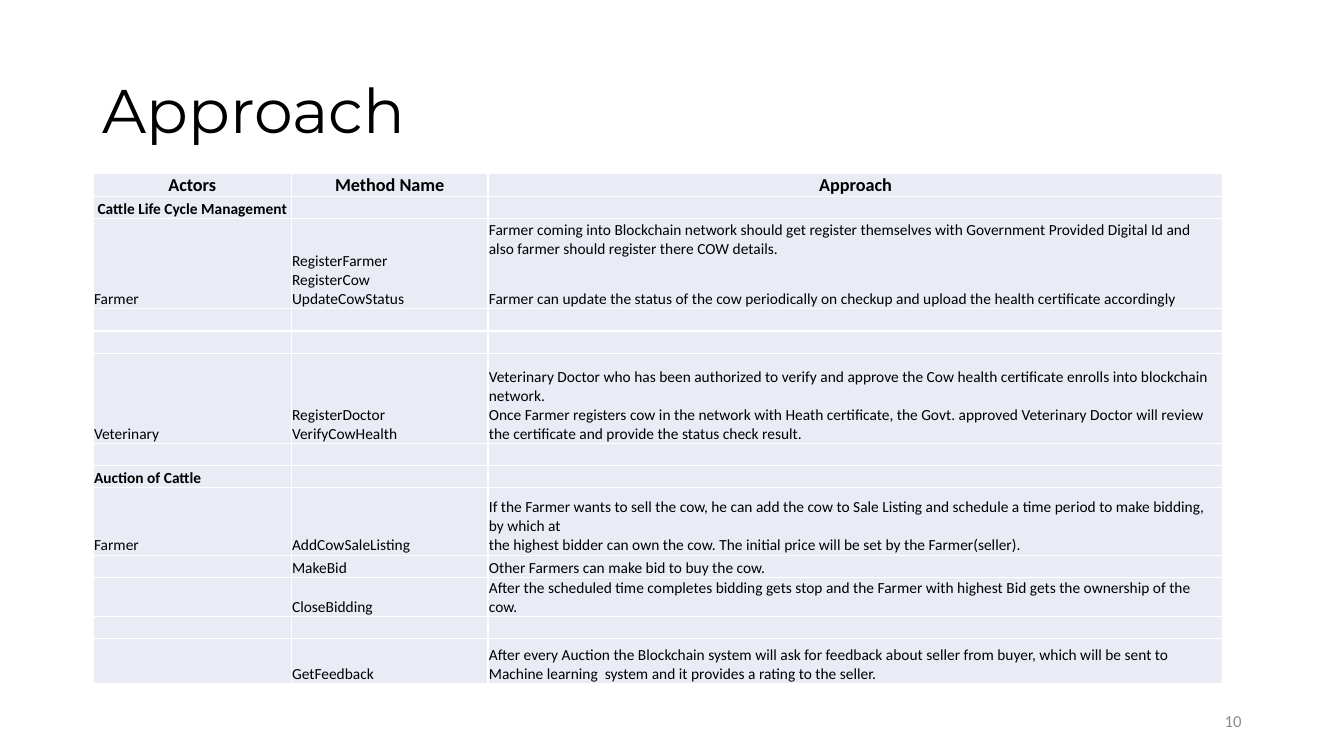
from lxml.etree import SubElement
from pptx import Presentation
from pptx.dml.color import RGBColor
from pptx.enum.text import MSO_ANCHOR, PP_ALIGN
from pptx.oxml import parse_xml
from pptx.oxml.ns import nsdecls, qn
from pptx.util import Cm, Pt

COLUMN_WIDTHS = [4.99, 4.96, 18.52]
BLANK = (0.56, ["", "", ""])
ROWS = [
    (0.58, ["Actors", "Method Name", "Approach"]),
    (0.56, [" Cattle Life Cycle Management", "", ""]),
    (2.27, ["Farmer", "RegisterFarmer\nRegisterCow\nUpdateCowStatus",
            "Farmer coming into Blockchain network should get register themselves with "
            "Government Provided Digital Id and\nalso farmer should register there COW details.\n\n"
            "Farmer can update the status of the cow periodically on checkup and upload "
            "the health certificate accordingly"]),
    BLANK,
    BLANK,
    (2.27, ["Veterinary", "RegisterDoctor\nVerifyCowHealth",
            "Veterinary Doctor who has been authorized to verify and approve the Cow health "
            "certificate enrolls into blockchain network.\nOnce Farmer registers cow in the network "
            "with Heath certificate, the Govt. approved Veterinary Doctor will review the "
            "certificate and provide the status check result."]),
    BLANK,
    (0.56, ["Auction of Cattle", "", ""]),
    (1.7, ["Farmer", "AddCowSaleListing",
           "If the Farmer wants to sell the cow, he can add the cow to Sale Listing and schedule "
           "a time period to make bidding, by which at \nthe highest bidder can own the cow. "
           "The initial price will be set by the Farmer(seller)."]),
    (0.56, ["", "MakeBid", "Other Farmers can make bid to buy the cow."]),
    (0.98, ["", "CloseBidding",
            "After the scheduled time completes bidding gets stop and the Farmer with highest "
            "Bid gets the ownership of the cow."]),
    BLANK,
    (1.14, ["", "GetFeedback",
            "After every Auction the Blockchain system will ask for feedback about seller from "
            "buyer, which will be sent to Machine learning  system and it provides a rating "
            "to the seller."]),
]
HEADER_ROW = 0
SECTION_ROWS = (1, 7)


def rgb(color):
    """Turn a hex string into a colour."""
    return RGBColor.from_string(color)


def write(p, text, size, font="Calibri", color="000000", bold=False, align=PP_ALIGN.LEFT):
    """Put text into a paragraph and format its runs."""
    p.text = text
    p.alignment = align
    for r in p.runs:
        r.font.size = Pt(size)
        r.font.name = font
        r.font.bold = bold
        r.font.color.rgb = rgb(color)
    if not text:
        SubElement(p._p, qn("a:endParaRPr"), sz=str(size * 100))


def add_borders(cell, color="FFFFFF", width=1):
    """Draw the four borders of a table cell."""
    tcPr = cell._tc.get_or_add_tcPr()
    for i, side in enumerate(("lnL", "lnR", "lnT", "lnB")):
        tcPr.insert(i, parse_xml(
            f'<a:{side} {nsdecls("a")} w="{Pt(width)}"><a:solidFill>'
            f'<a:srgbClr val="{color}"/></a:solidFill></a:{side}>'))


def add_title(s, left, top, width, height):
    """Place and format the slide title."""
    title = s.shapes.title
    title.left, title.top, title.width, title.height = Cm(left), Cm(top), Cm(width), Cm(height)
    tf = title.text_frame
    tf.vertical_anchor = MSO_ANCHOR.MIDDLE
    p = tf.paragraphs[0]
    write(p, "Approach", 44, font="Montserrat")
    p.line_spacing = 0.9


def fill_cell(cell, text, row):
    """Fill one cell in the style of its row."""
    cell.fill.solid()
    cell.fill.fore_color.rgb = rgb("E9EBF5")
    cell.margin_left = cell.margin_right = cell.margin_top = Cm(0.02)
    cell.margin_bottom = 0
    cell.vertical_anchor = MSO_ANCHOR.BOTTOM
    header = row == HEADER_ROW
    write(cell.text_frame.paragraphs[0], text, 13 if header else 11,
          bold=header or row in SECTION_ROWS,
          align=PP_ALIGN.CENTER if header else PP_ALIGN.LEFT)
    add_borders(cell)


def add_methods_table(s, left, top, width):
    """Add the table of actors, methods and approach."""
    height = sum(h for h, _ in ROWS)
    table = s.shapes.add_table(len(ROWS), len(COLUMN_WIDTHS),
                               Cm(left), Cm(top), Cm(width), Cm(height)).table
    table.first_row = table.horz_banding = False
    for column, share in zip(table.columns, COLUMN_WIDTHS):
        column.width = Cm(width * share / sum(COLUMN_WIDTHS))
    for i, (row_height, texts) in enumerate(ROWS):
        table.rows[i].height = Cm(row_height)
        for j, text in enumerate(texts):
            fill_cell(table.cell(i, j), text, i)


def add_page_number(s, left, top, width, height):
    """Add the page number at the bottom right."""
    tf = s.shapes.add_textbox(Cm(left), Cm(top), Cm(width), Cm(height)).text_frame
    tf.word_wrap = True
    tf.vertical_anchor = MSO_ANCHOR.MIDDLE
    write(tf.paragraphs[0], "10", 12, color="8C8C8C", align=PP_ALIGN.RIGHT)


def main():
    """Build the slide and save it."""
    prs = Presentation()
    prs.slide_width, prs.slide_height = Cm(33.87), Cm(19.05)
    s = prs.slides.add_slide(prs.slide_layouts[5])
    add_title(s, 2.33, 1.01, 29.21, 3.68)
    add_methods_table(s, 2.35, 4.37, 28.47)
    add_page_number(s, 23.92, 17.66, 7.62, 1.01)
    prs.save("out.pptx")


if __name__ == "__main__":
    main()
